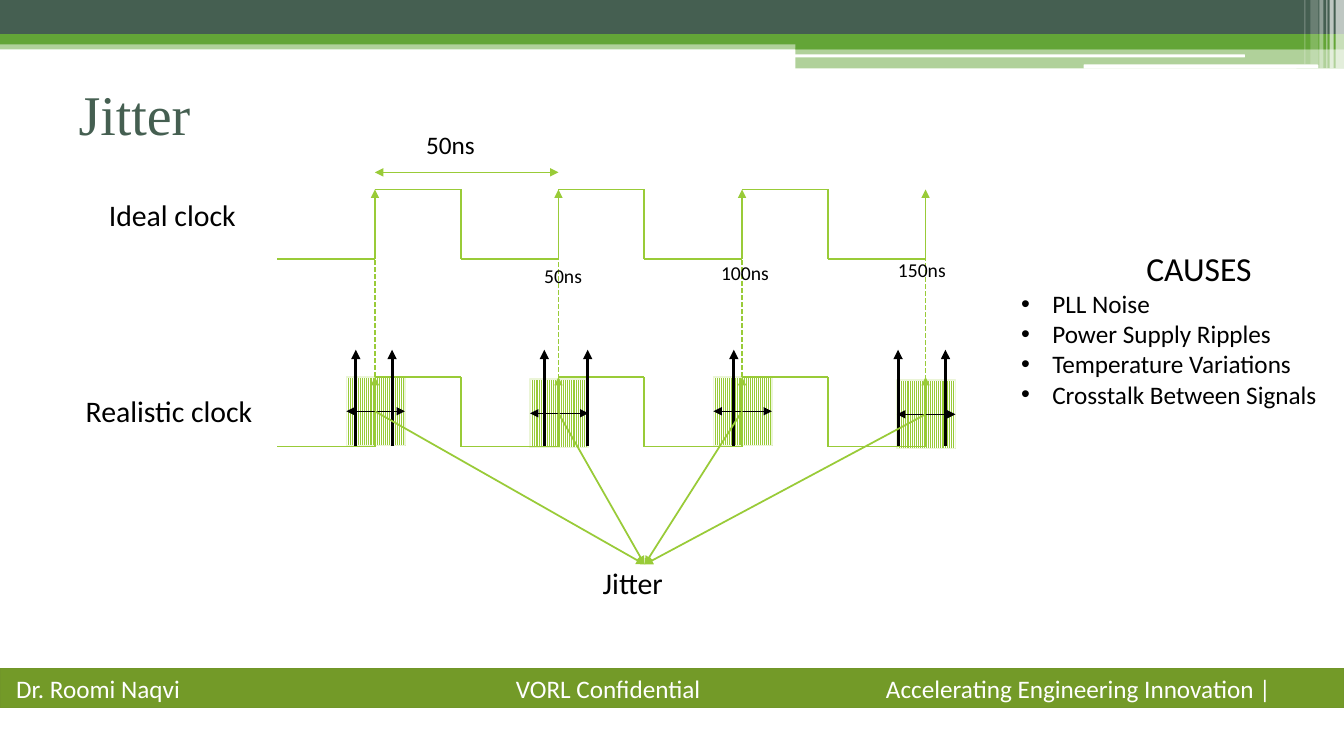
from lxml.etree import SubElement
from pptx import Presentation
from pptx.dml.color import RGBColor
from pptx.enum.dml import MSO_LINE, MSO_PATTERN
from pptx.enum.shapes import MSO_CONNECTOR, MSO_SHAPE
from pptx.enum.text import MSO_ANCHOR, MSO_AUTO_SIZE, PP_ALIGN
from pptx.oxml.ns import qn
from pptx.util import Emu, Inches, Pt

GREEN, FOREST, DARK, WHITE, BLACK = "99CB38", "63A537", "455F51", "FFFFFF", "000000"


def colour(value):
    return RGBColor.from_string(value)


def grid(count):
    return Emu(round(count * Inches(1) / 12))


class SlideBuilder:
    """Draws elements on a slide grid of 160 columns by 90 rows."""

    font = "Calibri"

    def __init__(self, presentation):
        presentation.slide_width, presentation.slide_height = grid(160), grid(90)
        self.slide = presentation.slides.add_slide(presentation.slide_layouts[1])

    def place(self, shape, box):
        shape.left, shape.top, shape.width, shape.height = map(grid, box)

    def run(self, paragraph, text, size, value=BLACK, font=None):
        run = paragraph.add_run()
        run.text = text
        run.font.name = font or self.font
        run.font.size = Pt(size)
        run.font.color.rgb = colour(value)

    def block(self, box, fill, opacity=100, kind=MSO_SHAPE.RECTANGLE):
        shape = self.slide.shapes.add_shape(kind, *map(grid, box))
        shape.shadow.inherit = False
        shape.fill.solid()
        shape.fill.fore_color.rgb = colour(fill)
        shape.line.fill.background()
        if opacity < 100:
            srgb = shape.fill._xPr.find(".//" + qn("a:srgbClr"))
            SubElement(srgb, qn("a:alpha"), val=str(opacity * 1000))
        return shape

    def band(self, box):
        shape = self.block(box, WHITE)
        shape.fill.patterned()
        shape.fill.pattern = MSO_PATTERN.NARROW_VERTICAL
        shape.fill.fore_color.rgb = colour(GREEN)
        shape.fill.back_color.rgb = colour(WHITE)
        shape.line.color.rgb = colour("EBF5D7")
        shape.line.width = Pt(1.25)
        return shape

    def footer(self, box, texts, stops):
        shape = self.block(box, "739A28")
        shape.line.color.rgb = colour("719629")
        shape.line.width = Pt(1)
        frame = shape.text_frame
        frame.vertical_anchor = MSO_ANCHOR.MIDDLE
        frame.margin_left = Inches(0.16)
        paragraph = frame.paragraphs[0]
        paragraph.alignment = PP_ALIGN.LEFT
        tabs = SubElement(paragraph._p.get_or_add_pPr(), qn("a:tabLst"))
        for stop in stops:
            SubElement(tabs, qn("a:tab"), pos=str(grid(stop)), algn="l")
        self.run(paragraph, "\t".join(texts), 18, WHITE)

    def line(self, start, end, value=GREEN, width=1.25, head=False, tail=False,
             dash=None, begin_at=None, end_at=None):
        connector = self.slide.shapes.add_connector(
            MSO_CONNECTOR.STRAIGHT, *map(grid, (*start, *end)))
        if begin_at:
            connector.begin_connect(*begin_at)
        if end_at:
            connector.end_connect(*end_at)
        connector.line.color.rgb = colour(value)
        connector.line.width = Pt(width)
        if dash:
            connector.line.dash_style = dash
        outline = connector.line._get_or_add_ln()
        for tag, shown in (("a:headEnd", head), ("a:tailEnd", tail)):
            if shown:
                SubElement(outline, qn(tag), type="triangle")
        SubElement(connector._element.spPr, qn("a:effectLst"))

    def label(self, box, text, size, inset=0):
        shape = self.slide.shapes.add_textbox(*map(grid, box))
        frame = shape.text_frame
        frame.word_wrap = True
        if not inset:
            frame.margin_left = frame.margin_right = 0
            frame.margin_top = frame.margin_bottom = 0
        self.run(frame.paragraphs[0], text, size)
        return shape

    def title(self, box, text):
        shape = self.slide.shapes.title
        self.place(shape, box)
        shape.text_frame.vertical_anchor = MSO_ANCHOR.MIDDLE
        paragraph = shape.text_frame.paragraphs[0]
        paragraph.alignment = PP_ALIGN.LEFT
        self.run(paragraph, text, 40, DARK, "Times New Roman")

    def bullets(self, box, heading, items):
        shape = self.slide.placeholders[1]
        self.place(shape, box)
        frame = shape.text_frame
        frame.auto_size = MSO_AUTO_SIZE.NONE
        for index, text in enumerate([heading, *items]):
            paragraph = frame.add_paragraph() if index else frame.paragraphs[0]
            paragraph.space_before = Pt(0)
            paragraph.alignment = PP_ALIGN.LEFT if index else PP_ALIGN.CENTER
            properties = paragraph._p.get_or_add_pPr()
            indent = Inches(0.31) if index else 0
            properties.set("marL", str(indent))
            properties.set("indent", str(-indent))
            if index:
                SubElement(properties, qn("a:buFont"), typeface="Arial")
                SubElement(properties, qn("a:buChar"), char="•")
            else:
                SubElement(properties, qn("a:buNone"))
            self.run(paragraph, text, 18 if index else 24)

    def clock(self, rises, high, low, half):
        begin = rises[0] - 11.64
        for rise in rises:
            self.line((begin, low), (rise, low))
            self.line((rise, low), (rise, high), tail=True)
            begin = rise + half
            if rise != rises[-1]:
                self.line((rise, high), (begin, high))
                self.line((begin, low), (begin, high))


def decorate(builder):
    builder.block((0, 4.8, 160, 1.08), FOREST, 50)
    builder.block((0, 0, 160, 4.08), DARK)
    builder.block((0, 4.08, 160, 1.2), FOREST)
    builder.block((94.68, 4.68, 65.32, 1.2), FOREST)
    builder.block((94.68, 5.76, 65.32, 2.4), FOREST, 50)
    for box in ((94.56, 6.48, 53.64, 0.36), (129, 7.68, 27.96, 0.48)):
        builder.block(box, WHITE, kind=MSO_SHAPE.ROUNDED_RECTANGLE)
    for left, width, height, opacity in (
            (159, 1, 8.16, 65), (158.28, 0.48, 8.16, 65), (157.92, 0.12, 8.16, 60),
            (157.08, 0.48, 8.16, 40), (156, 0.96, 7.68, 20), (155.28, 0.12, 7.68, 30)):
        builder.block((left, 0, width, height), WHITE, opacity)
    builder.footer((0, 79.56, 160, 4.68),
                   ("Dr. Roomi Naqvi", "VORL Confidential",
                    "Accelerating Engineering Innovation |"), (59.5, 103.56))


def draw_clocks(builder):
    rises = [round(44.64 + 21.85 * index, 2) for index in range(4)]
    band_tops = (44.88, 45.12, 44.88, 45.24)
    bands = [builder.band((rise - 3.4, top, 6.96, 8.16))
             for rise, top in zip(rises, band_tops)]
    for high in (22.56, 44.88):
        builder.clock(rises, high, high + 8.28, 10.22)
    builder.label((12.96, 23.4, 25.8, 4.32), "Ideal clock", 21.3)
    builder.label((10.2, 46.8, 25.8, 4.32), "Realistic clock", 21.3)
    for column in (42.36, 46.68, 64.8, 69.96, 87.36, 106.92, 112.56):
        builder.line((column, 53.04), (column, 41.64), BLACK, 2.25, tail=True)
    jitter = builder.label((71.76, 67.2, 9.96, 4.32), "Jitter", 21.3)
    for rise, top, band, dash_top in zip(rises, band_tops, bands, (27.72, 27.72, 27.96, 28.92)):
        middle = top + 4.08
        builder.line((rise, top), (rise, dash_top), dash=MSO_LINE.SQUARE_DOT)
        builder.line((rise - 3.4, middle), (rise + 3.56, middle), BLACK, 0.5,
                     head=True, tail=True, begin_at=(band, 1), end_at=(band, 3))
        builder.line((rise, middle), (76.74, 67.2), tail=True, end_at=(jitter, 0))
    builder.line((rises[0], 20.52), (rises[1], 20.52), width=0.5, head=True, tail=True)
    builder.label((49.56, 14.76, 13.56, 4.8), "50ns", 18, inset=1)
    for index, text in enumerate(("50ns", "100ns", "150ns")):
        builder.label((63.6 + 21.06 * index, 30.84 - 0.36 * index, 13.56, 4.08),
                      text, 14, inset=1)


def main():
    presentation = Presentation()
    builder = SlideBuilder(presentation)
    decorate(builder)
    builder.title((8.16, 6.48, 144, 14.04), "Jitter")
    draw_clocks(builder)
    builder.bullets((120.36, 28.92, 44.76, 20.64), "CAUSES",
                    ("PLL Noise", "Power Supply Ripples", "Temperature Variations",
                     "Crosstalk Between Signals"))
    presentation.save("out.pptx")


if __name__ == "__main__":
    main()
